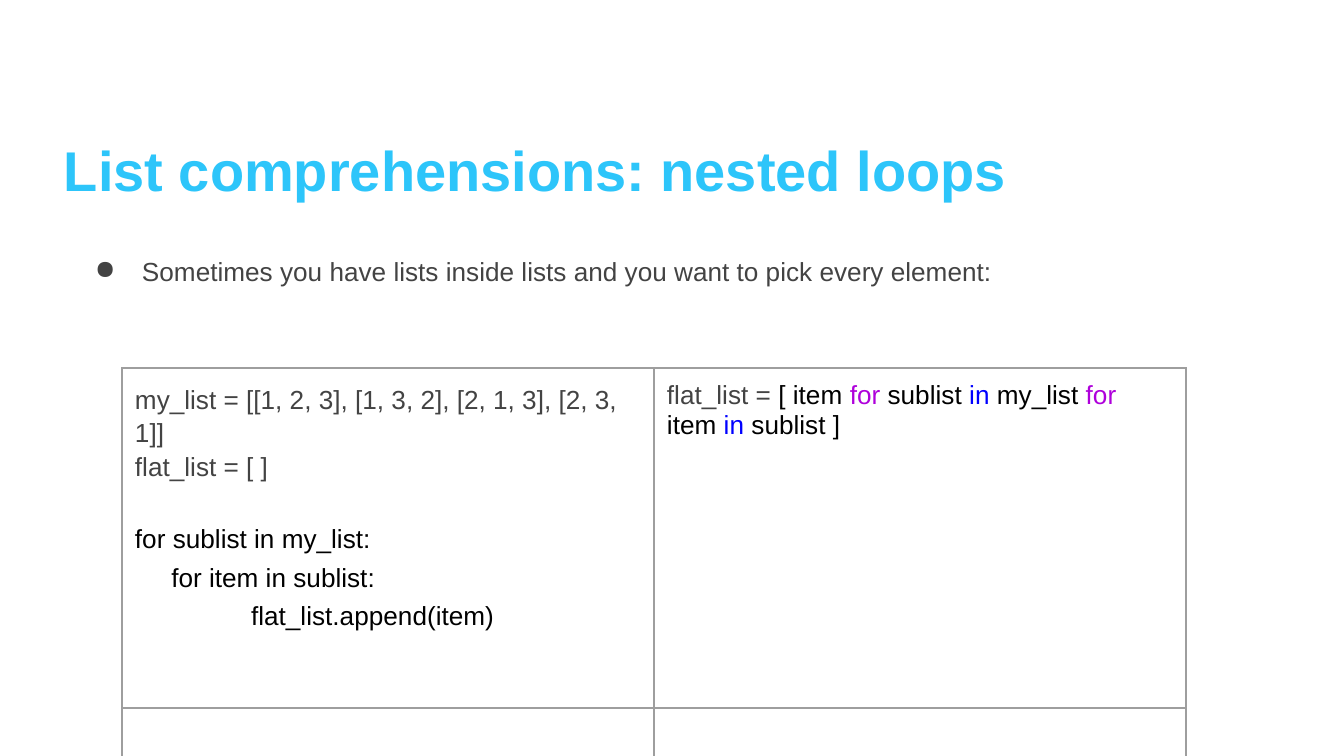
from pptx import Presentation
from pptx.dml.color import RGBColor
from pptx.enum.text import MSO_ANCHOR
from pptx.oxml import parse_xml
from pptx.oxml.ns import nsdecls
from pptx.util import Pt

PX = 914400 / 134.4
WIDE, HIGH = 1344, 756
PAD = 13
FONT = "Arial"
SKY = RGBColor(0x2D, 0xC5, 0xFA)
GRAY = RGBColor(0x43, 0x43, 0x43)
BLACK = RGBColor(0, 0, 0)
PURPLE = RGBColor(0xAF, 0x00, 0xDB)
BLUE = RGBColor(0, 0, 0xFF)
RULE = RGBColor(0x9E, 0x9E, 0x9E)

LOOP = [
    # text, colour, line spacing, space before in points
    ("my_list = [[1, 2, 3], [1, 3, 2], [2, 1, 3], [2, 3, 1]]", GRAY, 1.15, 0),
    ("flat_list = [ ]", GRAY, 1.15, 0),
    ("for sublist in my_list:", BLACK, 1.31, 18),
    ("     for item in sublist:", BLACK, 1.31, 0),
    ("                flat_list.append(item)", BLACK, 1.31, 0),
]
SHORT = [
    ("flat_list = ", GRAY), ("[ item ", BLACK), ("for", PURPLE),
    (" sublist ", BLACK), ("in", BLUE), (" my_list ", BLACK),
    ("for", PURPLE), (" item ", BLACK), ("in", BLUE), (" sublist ]", BLACK),
]


def emu(px):
    return round(px * PX)


def add_run(para, text, color, size=14, bold=False):
    run = para.add_run()
    run.text = text
    font = run.font
    font.name, font.size, font.bold = FONT, Pt(size), bold
    font.color.rgb = color


def pad(item, top=PAD):
    item.margin_left = item.margin_right = item.margin_bottom = emu(PAD)
    item.margin_top = emu(top)


def add_box(slide, box, top=PAD):
    frame = slide.shapes.add_textbox(*map(emu, box)).text_frame
    frame.word_wrap = True
    frame.vertical_anchor = MSO_ANCHOR.TOP
    pad(frame, top)
    return frame.paragraphs[0]


def add_title(slide, box):
    para = add_box(slide, box, top=19)
    add_run(para, "List comprehensions: nested loops", SKY, 30, True)


def add_point(slide, box):
    para = add_box(slide, box)
    props = para._p.get_or_add_pPr()
    props.set("marL", str(emu(67)))
    props.set("indent", str(emu(-47)))
    props.append(parse_xml(
        f'<a:buClr {nsdecls("a")}><a:srgbClr val="{GRAY}"/></a:buClr>'))
    props.append(parse_xml(f'<a:buChar {nsdecls("a")} char="●"/>'))
    para.line_spacing = 1.15
    add_run(para, "Sometimes you have lists inside lists and you want "
                  "to pick every element:", GRAY)


def style_cell(cell):
    pad(cell)
    cell.vertical_anchor = MSO_ANCHOR.TOP
    cell.fill.background()
    props = cell._tc.get_or_add_tcPr()
    for spot, side in enumerate(("lnL", "lnR", "lnT", "lnB")):
        props.insert(spot, parse_xml(
            f'<a:{side} {nsdecls("a")} w="{Pt(0.75)}"><a:solidFill>'
            f'<a:srgbClr val="{RULE}"/></a:solidFill></a:{side}>'))


def add_code(slide, box, rows):
    grid = slide.shapes.add_table(len(rows), 2, *map(emu, box)).table
    grid.first_row = grid.horz_banding = False
    for row, size in zip(grid.rows, rows):
        row.height = emu(size)
    for cell in grid.iter_cells():
        style_cell(cell)

    # Nested loops on the left
    frame = grid.cell(0, 0).text_frame
    for spot, (text, color, line, gap) in enumerate(LOOP):
        para = frame.add_paragraph() if spot else frame.paragraphs[0]
        para.line_spacing = line
        if gap:
            para.space_before = Pt(gap)
        add_run(para, text, color)

    # The same as one comprehension on the right
    para = grid.cell(0, 1).text_frame.paragraphs[0]
    for text, color in SHORT:
        add_run(para, text, color)


def main():
    deck = Presentation()
    deck.slide_width, deck.slide_height = emu(WIDE), emu(HIGH)
    slide = deck.slides.add_slide(deck.slide_layouts[6])
    add_title(slide, (51, 117, 1150, 85))
    add_point(slide, (62, 238, 1235, 439))
    rows = (340, 141)
    add_code(slide, (122, 368, 1064, sum(rows)), rows)
    deck.save("out.pptx")


if __name__ == "__main__":
    main()
